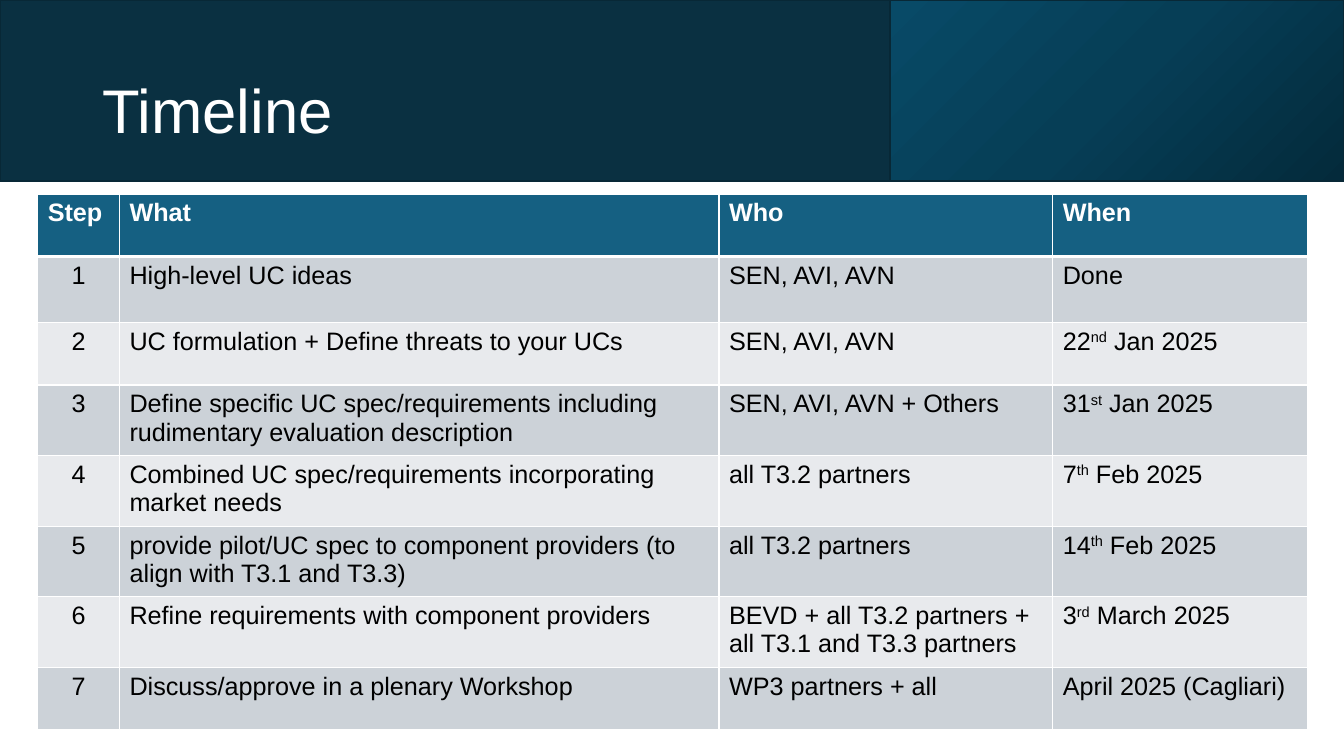
from lxml.etree import SubElement
from pptx import Presentation
from pptx.dml.color import RGBColor
from pptx.enum.shapes import MSO_SHAPE
from pptx.enum.text import MSO_ANCHOR, PP_ALIGN
from pptx.oxml.ns import qn
from pptx.util import Cm, Pt

# Content: ^ encloses superscript text
TITLE = "Timeline"
HEADER = ("Step", "What", "Who", "When")
STEPS = [
    ("High-level UC ideas", "SEN, AVI, AVN", "Done"),
    ("UC formulation + Define threats to your UCs", "SEN, AVI, AVN", "22^nd^ Jan 2025"),
    ("Define specific UC spec/requirements including rudimentary evaluation description",
     "SEN, AVI, AVN + Others", "31^st^ Jan 2025"),
    ("Combined UC spec/requirements incorporating market needs",
     "all T3.2 partners", "7^th^ Feb 2025"),
    ("provide pilot/UC spec to component providers (to align with T3.1 and T3.3)",
     "all T3.2 partners", "14^th^ Feb 2025"),
    ("Refine requirements with component providers",
     "BEVD + all T3.2 partners + all T3.1 and T3.3 partners", "3^rd^ March 2025"),
    ("Discuss/approve in a plenary Workshop", "WP3 partners + all", "April 2025 (Cagliari)"),
]

# Style and measures in cm
FONT = "Arial"
WHITE, BLACK, HEAD_FILL = "FFFFFF", "000000", "156082"
BANDS = ("CCD2D8", "E8EAED")
BANNER_FILL, BANNER_LINE = "0A3041", "082836"
GRADIENT = [(0, "042A3B"), (50, "063E56"), (100, "084A67")]
SLIDE_W, SLIDE_H = 33.87, 19.05
BANNER_H, PANEL_X = 4.57, 22.43
COL_W = (2.06, 15.11, 8.41, 6.43)
ROW_H = (1.57, 1.67, 1.57, 1.68, 1.68, 1.68, 1.68, 1.57)


def rgb(color):
    return RGBColor.from_string(color)


def add_text(p, text, size, color, bold=False):
    for i, part in enumerate(text.split("^")):
        r = p.add_run()
        r.text = part
        r.font.name, r.font.size, r.font.bold = FONT, Pt(size), bold
        r.font.color.rgb = rgb(color)
        if i % 2:
            r.font._element.set("baseline", "30000")


def add_banner(s, x, w):
    sp = s.shapes.add_shape(MSO_SHAPE.RECTANGLE, Cm(x), 0, Cm(w), Cm(BANNER_H))
    sp.shadow.inherit = False
    sp.fill.solid()
    sp.fill.fore_color.rgb = rgb(BANNER_FILL)
    sp.line.color.rgb = rgb(BANNER_LINE)
    sp.line.width = Pt(1.5)
    return sp


def set_gradient(sp, stops, angle):
    sp.fill.gradient()
    sp.fill.gradient_angle = angle
    gs_list = sp._element.spPr.find(".//" + qn("a:gsLst"))
    for gs in list(gs_list):
        gs_list.remove(gs)
    for pos, color in stops:
        gs = SubElement(gs_list, qn("a:gs"), pos=str(pos * 1000))
        SubElement(gs, qn("a:srgbClr"), val=color)


def style_cell(cell, fill, bottom=1):
    tc_pr = cell._tc.get_or_add_tcPr()
    for side, width in (("L", 1), ("R", 1), ("T", 1), ("B", bottom)):
        ln = SubElement(tc_pr, qn("a:ln" + side), w=str(Pt(width)))
        SubElement(SubElement(ln, qn("a:solidFill")), qn("a:srgbClr"), val=WHITE)
    cell.fill.solid()
    cell.fill.fore_color.rgb = rgb(fill)


prs = Presentation()
prs.slide_width, prs.slide_height = Cm(SLIDE_W), Cm(SLIDE_H)
s = prs.slides.add_slide(prs.slide_layouts[6])

# Banner
add_banner(s, 0, SLIDE_W)
panel = add_banner(s, PANEL_X, SLIDE_W - PANEL_X)
set_gradient(panel, GRADIENT, 135)

# Title
tf = s.shapes.add_textbox(Cm(2.33), Cm(1.02), Cm(29.21), Cm(3.68)).text_frame
tf.word_wrap = True
tf.vertical_anchor = MSO_ANCHOR.MIDDLE
tf.paragraphs[0].line_spacing = 0.9
add_text(tf.paragraphs[0], TITLE, 44, WHITE)

# Timeline table
rows = [HEADER] + [(str(n), *step) for n, step in enumerate(STEPS, 1)]
table = s.shapes.add_table(len(rows), len(HEADER), Cm(0.95), Cm(4.89),
                           Cm(sum(COL_W)), Cm(sum(ROW_H))).table
for col, w in zip(table.columns, COL_W):
    col.width = Cm(w)
for i, (row, h) in enumerate(zip(rows, ROW_H)):
    table.rows[i].height = Cm(h)
    head = i == 0
    for j, text in enumerate(row):
        cell = table.cell(i, j)
        style_cell(cell, HEAD_FILL if head else BANDS[(i - 1) % 2], 3 if head else 1)
        p = cell.text_frame.paragraphs[0]
        if j == 0 and not head:
            p.alignment = PP_ALIGN.CENTER
        add_text(p, text, 18, WHITE if head else BLACK, head)

prs.save("out.pptx")
